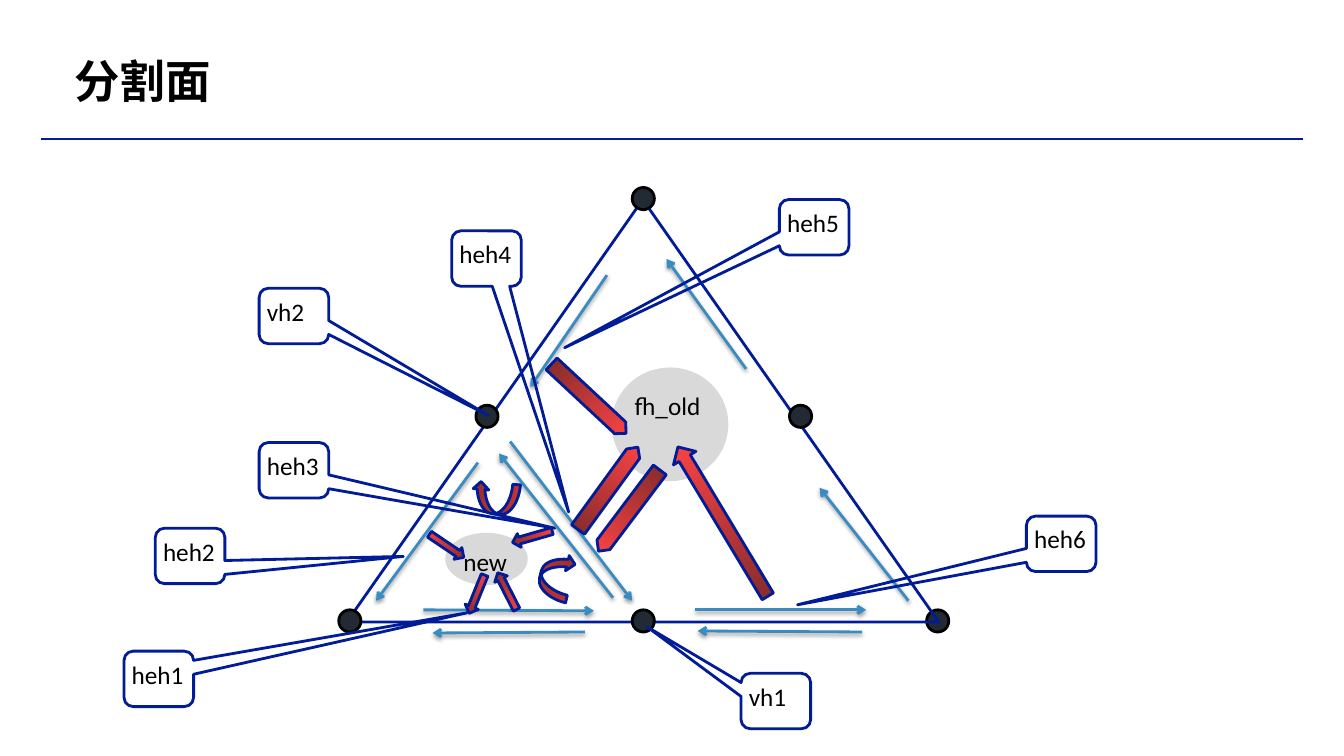
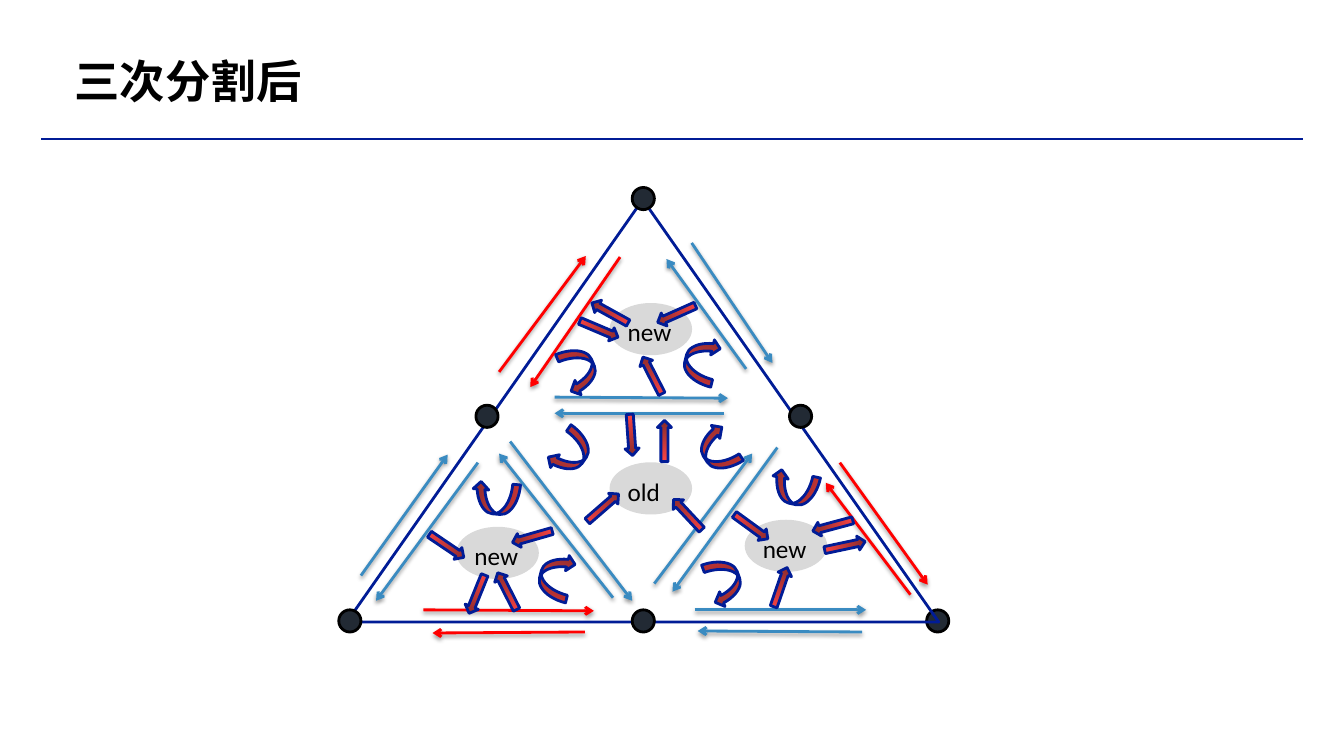
from dataclasses import dataclass

from lxml import etree
from pptx import Presentation
from pptx.dml.color import RGBColor
from pptx.enum.shapes import MSO_CONNECTOR, MSO_SHAPE
from pptx.enum.text import MSO_ANCHOR, MSO_AUTO_SIZE, PP_ALIGN
from pptx.oxml.ns import qn
from pptx.util import Emu, Pt

STRAIGHT = MSO_CONNECTOR.STRAIGHT
ELLIPSE = MSO_SHAPE.OVAL
TRIANGLE = MSO_SHAPE.ISOSCELES_TRIANGLE
CALLOUT = MSO_SHAPE.ROUNDED_RECTANGULAR_CALLOUT
UP_ARROW = MSO_SHAPE.UP_ARROW
DOWN_ARROW = MSO_SHAPE.DOWN_ARROW
CURL_ARROW = MSO_SHAPE.CURVED_LEFT_ARROW
TOP, LEFT = MSO_ANCHOR.TOP, PP_ALIGN.LEFT
TITLE_ONLY = 5


@dataclass(frozen=True)
class Theme:
    font: str = "Calibri"
    ink: str = "000000"
    navy: str = "011C96"
    vertex: str = "222A34"
    face: str = "D9D9D9"
    edge: str = "3A8BC1"
    split_edge: str = "FF0000"
    arrow_light: str = "FE4444"
    arrow_dark: str = "832B2B"
    title_size: float = 32.4
    label_size: float = 18
    stroke: float = 2
    rule_stroke: float = 1.5


THEME = Theme()

# Sizes and places, 100 px to the inch
VERTEX_SIZE = 22
FACE_SIZE = (79, 49)
CALLOUT_SIZE = (69, 55)
CURL_SIZE = (31, 47)
DART_SIZE = (14, 41)
PUSH_SIZE = (16, 101)
RIGHT_VERTEX = (919, 605)
OTHER_VERTICES = [(472, 402), (627, 186), (336, 605), (783, 402), (627, 605)]

# Half-edges run from (x1, y1) to (x2, y2)
SHARED_EDGES = [
    (689, 605, 859, 605), (855, 627, 692, 626), (740, 366, 661, 257),
    (474, 459, 373, 596), (506, 438, 627, 596), (608, 593, 495, 450),
]
BOTTOM_LEFT_EDGES = [(580, 627, 429, 628), (420, 605, 589, 606)]
FIRST_EDGES = [(901, 596, 813, 484), (602, 273, 526, 384)]
INNER_EDGES = [
    (649, 579, 746, 450), (771, 444, 667, 587), (686, 241, 766, 360),
    (358, 571, 444, 451), (550, 394, 722, 395), (718, 410, 550, 410),
]
SPLIT_EDGES = [
    (903, 590, 819, 479), (615, 255, 526, 384),
    (833, 459, 920, 580), (495, 369, 581, 254),
]

# Link arrows: left, top, rotation
SHARED_CURLS = [(536, 548, 194), (476, 471, 95)]
SHARED_DARTS = [(496, 566, 153), (521, 512, 74), (436, 521, 304), (466, 569, 22)]
PUSHES = [(595, 434, 36), (576, 345, 133), (616, 456, 217)]
FINAL_CURLS = [
    (772, 461, 102), (703, 554, 340), (680, 334, 194),
    (559, 344, 337), (550, 426, 35), (696, 422, 147),
]
FINAL_DARTS = [
    (819, 501, 75), (831, 521, 258), (767, 562, 199), (640, 352, 153),
    (598, 290, 119), (587, 306, 293), (738, 502, 306), (664, 291, 66),
    (675, 490, 137), (591, 483, 229), (619, 411, 356), (652, 417, 180),
]

# Callouts: label, box corner, tip
CALLOUTS = [
    ("heh1", (123, 646), (463, 608)),
    ("heh5", (773, 198), (560, 345)),
    ("heh6", (1018, 512), (791, 600)),
    ("vh2", (257, 286), (484, 412)),
    ("vh1", (735, 668), (642, 622)),
    ("heh2", (154, 524), (400, 552)),
    ("heh3", (257, 439), (550, 524)),
    ("heh4", (448, 229), (564, 508)),
]
FINAL_FACES = [
    ("new", (606, 302)), ("new", (454, 524)),
    ("new", (740, 517)), ("old", (606, 460)),
]


def px(length):
    return Emu(length * 9144)


def color(code):
    return RGBColor.from_string(code)


def write_text(shape, text, *, size, bold=False, line_spacing=None, before=0):
    """Put one left-aligned, top-anchored paragraph into a shape."""
    frame = shape.text_frame
    frame.word_wrap = True
    frame.auto_size = MSO_AUTO_SIZE.NONE
    frame.vertical_anchor = TOP
    frame.margin_left = frame.margin_right = px(5)
    frame.margin_top = frame.margin_bottom = px(5)
    para = frame.paragraphs[0]
    para.alignment = LEFT
    para.space_before = Pt(before)
    if line_spacing:
        para.line_spacing = line_spacing
    span = para.add_run()
    span.text = text
    span.font.name = THEME.font
    span.font.size = Pt(size)
    span.font.bold = bold
    span.font.color.rgb = color(THEME.ink)


def add_box(page, kind, corner, size, *, fill=None, line=THEME.navy, rotation=0):
    box = page.shapes.add_shape(kind, *map(px, (*corner, *size)))
    box.shadow.inherit = False
    box.rotation = rotation
    if fill:
        box.fill.solid()
        box.fill.fore_color.rgb = color(fill)
    else:
        box.fill.background()
    box.line.color.rgb = color(line)
    box.line.width = Pt(THEME.stroke)
    return box


def add_line(page, ends, *, line, width):
    """Draw a plain line and return it with its empty effect list."""
    connector = page.shapes.add_connector(STRAIGHT, *map(px, ends))
    connector.line.color.rgb = color(line)
    connector.line.width = Pt(width)
    effects = etree.SubElement(connector.element.spPr, qn("a:effectLst"))
    return connector, effects


# Mesh parts
def add_half_edges(page, edges, line=THEME.edge):
    for ends in edges:
        connector, effects = add_line(page, ends, line=line, width=THEME.stroke)
        outline = connector.element.spPr.find(qn("a:ln"))
        etree.SubElement(outline, qn("a:tailEnd"), type="arrow")
        shadow = etree.SubElement(
            effects, qn("a:outerShdw"), blurRad="38100", dist="20000",
            dir="5400000", rotWithShape="0")
        tone = etree.SubElement(shadow, qn("a:srgbClr"), val=THEME.ink)
        etree.SubElement(tone, qn("a:alpha"), val="38000")


def add_vertex(page, corner):
    add_box(page, ELLIPSE, corner, (VERTEX_SIZE, VERTEX_SIZE),
            fill=THEME.vertex, line=THEME.ink)


def add_face(page, label, corner, size=FACE_SIZE):
    face = add_box(page, ELLIPSE, corner, size, fill=THEME.face, line=THEME.face)
    write_text(face, label, size=THEME.label_size)


def add_triangle(page):
    add_vertex(page, RIGHT_VERTEX)
    add_box(page, TRIANGLE, (344, 198), (587, 419))
    for corner in OTHER_VERTICES:
        add_vertex(page, corner)


def add_links(page, kind, size, places, adjustments=()):
    for left, top, rotation in places:
        arrow = add_box(page, kind, (left, top), size, rotation=rotation)
        for index, value in enumerate(adjustments):
            arrow.adjustments[index] = value
        arrow.fill.gradient()
        arrow.fill.gradient_angle = 270
        shades = (THEME.arrow_light, THEME.arrow_dark)
        for stop, shade in zip(arrow.fill.gradient_stops, shades):
            stop.color.rgb = color(shade)


def add_callout(page, label, corner, tip):
    box = add_box(page, CALLOUT, corner, CALLOUT_SIZE)
    for axis in range(2):
        offset = tip[axis] - corner[axis]
        box.adjustments[axis] = offset / CALLOUT_SIZE[axis] - 0.5
    write_text(box, label, size=THEME.label_size)


# Pages
def add_page(deck, title):
    page = deck.slides.add_slide(deck.slide_layouts[TITLE_ONLY])
    write_text(page.shapes.title, title, size=THEME.title_size, bold=True,
               line_spacing=0.8, before=6)
    return page


def style_template(deck):
    title = deck.slide_layouts[TITLE_ONLY].placeholders[0]
    title.left, title.top, title.width, title.height = map(px, (69, 58, 763, 66))


def add_master_rule(deck, page):
    """Draw the rule under the title and move it to the master."""
    rule, _ = add_line(page, (41, 138, 1292, 138), line=THEME.navy,
                       width=THEME.rule_stroke)
    deck.slide_master.shapes.element.append(rule.element)


def build_split_page(page):
    add_face(page, "fh_old", (608, 366), (113, 110))
    add_triangle(page)
    add_half_edges(page, SHARED_EDGES + BOTTOM_LEFT_EDGES + FIRST_EDGES)
    add_links(page, UP_ARROW, (26, 173), [(704, 431, 329)])
    for label, corner, tip in CALLOUTS:
        add_callout(page, label, corner, tip)
    add_links(page, UP_ARROW, PUSH_SIZE, PUSHES, adjustments=(1, 0.5))
    add_links(page, CURL_ARROW, CURL_SIZE, SHARED_CURLS)
    add_face(page, "new", (443, 530))
    add_links(page, DOWN_ARROW, DART_SIZE, SHARED_DARTS)


def build_final_page(page):
    for label, corner in FINAL_FACES:
        add_face(page, label, corner)
    add_triangle(page)
    add_half_edges(page, SHARED_EDGES + INNER_EDGES)
    add_half_edges(page, BOTTOM_LEFT_EDGES + SPLIT_EDGES, THEME.split_edge)
    add_links(page, CURL_ARROW, CURL_SIZE, SHARED_CURLS + FINAL_CURLS)
    add_links(page, DOWN_ARROW, DART_SIZE, SHARED_DARTS + FINAL_DARTS)


def main():
    deck = Presentation()
    deck.slide_width, deck.slide_height = px(1333), px(750)
    style_template(deck)
    split_page = add_page(deck, "分割面")
    add_master_rule(deck, split_page)
    build_split_page(split_page)
    build_final_page(add_page(deck, "三次分割后"))
    deck.save("out.pptx")


if __name__ == "__main__":
    main()
